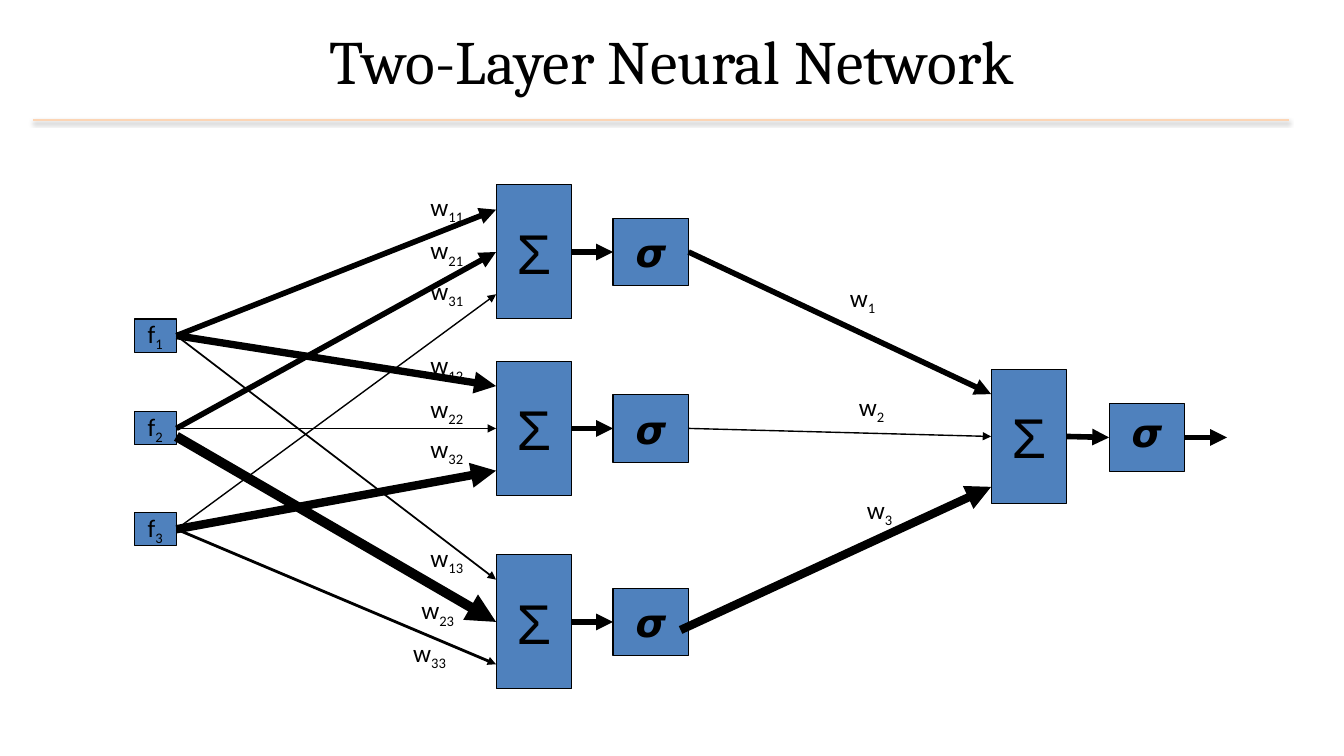
from dataclasses import dataclass

from lxml import etree
from pptx import Presentation
from pptx import util as u
from pptx.dml.color import RGBColor
from pptx.enum import shapes, text
from pptx.oxml import ns

BLACK = RGBColor(0x00, 0x00, 0x00)
NODE_BLUE = RGBColor(0x4F, 0x81, 0xBD)
RULE_PEACH = RGBColor(0xFC, 0xD5, 0xB5)
ENTRY_STEP = 0.42  # gap between arrow entries on a sum node
FLOW_WIDTH = 4


@dataclass(frozen=True)
class NodeStyle:
    left: float
    width: float
    height: float
    symbol: str
    size: float
    font: str


@dataclass(frozen=True)
class Weight:
    source: int
    target: int
    width: float
    label_left: float
    label_top: float
    start_shift: tuple[float, float] = (0, 0)
    end_shift: float = 0


FEATURE = NodeStyle(1.33, 0.42, 0.33, "f", 18, "Calibri")
HIDDEN_SUM = NodeStyle(4.92, 0.75, 1.33, "Σ", 40, "Arial")
HIDDEN_SIGMA = NodeStyle(6.08, 0.75, 0.67, "𝞼", 28, "Calibri")
OUTPUT_SUM = NodeStyle(9.83, 0.75, 1.33, "Σ", 40, "Arial")
OUTPUT_SIGMA = NodeStyle(11, 0.75, 0.67, "𝞼", 28, "Calibri")

FEATURE_ROWS = (3.33, 4.25, 5.25)
HIDDEN_ROWS = (2.5, 4.25, 6.17)
OUTPUT_ROW = 4.33

HIDDEN_WEIGHTS = (
    Weight(1, 1, 4, 4.17, 1.85),
    Weight(2, 1, 4, 4.17, 2.28),
    Weight(3, 1, 1, 4.17, 2.68),
    Weight(1, 2, 5.25, 4.17, 3.42),
    Weight(2, 2, 1, 4.17, 3.85),
    Weight(3, 2, 6, 4.17, 4.25),
    Weight(1, 3, 1.25, 4.17, 5.33),
    Weight(2, 3, 7, 4.08, 5.85, start_shift=(0, 0.08)),
    Weight(3, 3, 2, 4, 6.27),
)
OUTPUT_WEIGHTS = (
    Weight(1, 1, 4, 8.33, 2.75),
    Weight(2, 1, 1, 8.42, 3.83),
    Weight(3, 1, 6, 8.5, 4.85, start_shift=(-0.08, 0.08), end_shift=0.08),
)


def add_span(para, words: str, size: float, font: str, subscript: bool = False) -> None:
    span = para.add_run()
    span.text = words
    span.font.size = u.Pt(size)
    span.font.name = font
    span.font.color.rgb = BLACK
    if subscript:
        span.font._element.set("baseline", "-25000")


def add_node(page, style: NodeStyle, middle: float, index: str = "",
             anchor=text.MSO_ANCHOR.MIDDLE):
    box = page.shapes.add_shape(
        shapes.MSO_SHAPE.RECTANGLE, u.Inches(style.left),
        u.Inches(middle - style.height / 2), u.Inches(style.width), u.Inches(style.height))
    box.shadow.inherit = False
    box.fill.solid()
    box.fill.fore_color.rgb = NODE_BLUE
    box.line.color.rgb = BLACK
    box.line.width = u.Pt(0.75)
    frame = box.text_frame
    frame.word_wrap = False
    frame.vertical_anchor = anchor
    para = frame.paragraphs[0]
    para.alignment = text.PP_ALIGN.CENTER
    add_span(para, style.symbol, style.size, style.font)
    if index:
        add_span(para, index, style.size, style.font, subscript=True)
    return box


def add_line(page, start: tuple[float, float], end: tuple[float, float],
             color: RGBColor, width: float):
    line = page.shapes.add_connector(
        shapes.MSO_CONNECTOR.STRAIGHT, *(u.Inches(value) for value in (*start, *end)))
    line.line.color.rgb = color
    line.line.width = u.Pt(width)
    etree.SubElement(line._element.spPr, ns.qn("a:effectLst"))
    return line


def add_arrow(page, start: tuple[float, float], end: tuple[float, float], width: float,
              source=None, target=None) -> None:
    arrow = add_line(page, start, end, BLACK, width)
    if source is not None:
        arrow.begin_connect(source, 3)
    if target is not None:
        arrow.end_connect(target, 1)
    etree.SubElement(arrow.line._get_or_add_ln(), ns.qn("a:tailEnd"), type="triangle")


def right_middle(box) -> tuple[float, float]:
    return (box.left + box.width) / u.Inches(1), (box.top + box.height / 2) / u.Inches(1)


def left_middle(box) -> tuple[float, float]:
    return box.left / u.Inches(1), (box.top + box.height / 2) / u.Inches(1)


def add_flow(page, source, target) -> None:
    add_arrow(page, right_middle(source), left_middle(target), FLOW_WIDTH, source, target)


def add_weight(page, weight: Weight, source, target, index: str) -> None:
    x, y = right_middle(source)
    dx, dy = weight.start_shift
    end_x, end_y = left_middle(target)
    entry = (weight.source - 2) * ENTRY_STEP + weight.end_shift
    add_arrow(page, (x + dx, y + dy), (end_x, end_y + entry), weight.width,
              source if (dx, dy) == (0, 0) else None, target if entry == 0 else None)
    label = page.shapes.add_textbox(
        u.Inches(weight.label_left), u.Inches(weight.label_top), u.Inches(0.58), u.Inches(0.44))
    label.text_frame.word_wrap = True
    para = label.text_frame.paragraphs[0]
    add_span(para, "w", 18, "Calibri")
    add_span(para, index, 18, "Calibri", subscript=True)


def add_heading(page) -> None:
    rule = add_line(page, (0.33, 1.19), (12.78, 1.19), RULE_PEACH, 1)
    effects = rule._element.spPr.find(ns.qn("a:effectLst"))
    shadow = etree.SubElement(
        effects, ns.qn("a:outerShdw"), blurRad=str(u.Pt(3.1)), dist=str(u.Pt(1.6)),
        dir="5400000", rotWithShape="0")
    tint = etree.SubElement(shadow, ns.qn("a:srgbClr"), val=str(BLACK))
    etree.SubElement(tint, ns.qn("a:alpha"), val="38000")

    title = page.shapes.add_textbox(
        u.Inches(0), u.Inches(-0.03), u.Inches(13.33), u.Inches(1.25))
    title.text_frame.word_wrap = True
    title.text_frame.vertical_anchor = text.MSO_ANCHOR.MIDDLE
    para = title.text_frame.paragraphs[0]
    para.alignment = text.PP_ALIGN.CENTER
    add_span(para, "Two-Layer Neural Network", 44, "Cambria")


def main() -> None:
    deck = Presentation()
    deck.slide_width = u.Inches(13.33)
    deck.slide_height = u.Inches(7.5)
    page = deck.slides.add_slide(deck.slide_layouts[6])
    add_heading(page)

    # Nodes
    features = [add_node(page, FEATURE, row, str(number))
                for number, row in enumerate(FEATURE_ROWS, 1)]
    sums = [add_node(page, HIDDEN_SUM, row) for row in HIDDEN_ROWS]
    sigmas = [add_node(page, HIDDEN_SIGMA, row) for row in HIDDEN_ROWS]
    output_sum = add_node(page, OUTPUT_SUM, OUTPUT_ROW)
    output_sigma = add_node(page, OUTPUT_SIGMA, OUTPUT_ROW + 0.01,
                            anchor=text.MSO_ANCHOR.TOP)

    # Weighted connections
    for weight in HIDDEN_WEIGHTS:
        add_weight(page, weight, features[weight.source - 1], sums[weight.target - 1],
                   f"{weight.source}{weight.target}")
    for weight in OUTPUT_WEIGHTS:
        add_weight(page, weight, sigmas[weight.source - 1], output_sum, str(weight.source))

    # Sum-to-activation arrows and the network output
    for source, target in zip([*sums, output_sum], [*sigmas, output_sigma]):
        add_flow(page, source, target)
    x, y = right_middle(output_sigma)
    add_arrow(page, (x, y), (x + ENTRY_STEP, y), FLOW_WIDTH, source=output_sigma)

    deck.save("out.pptx")


if __name__ == "__main__":
    main()
